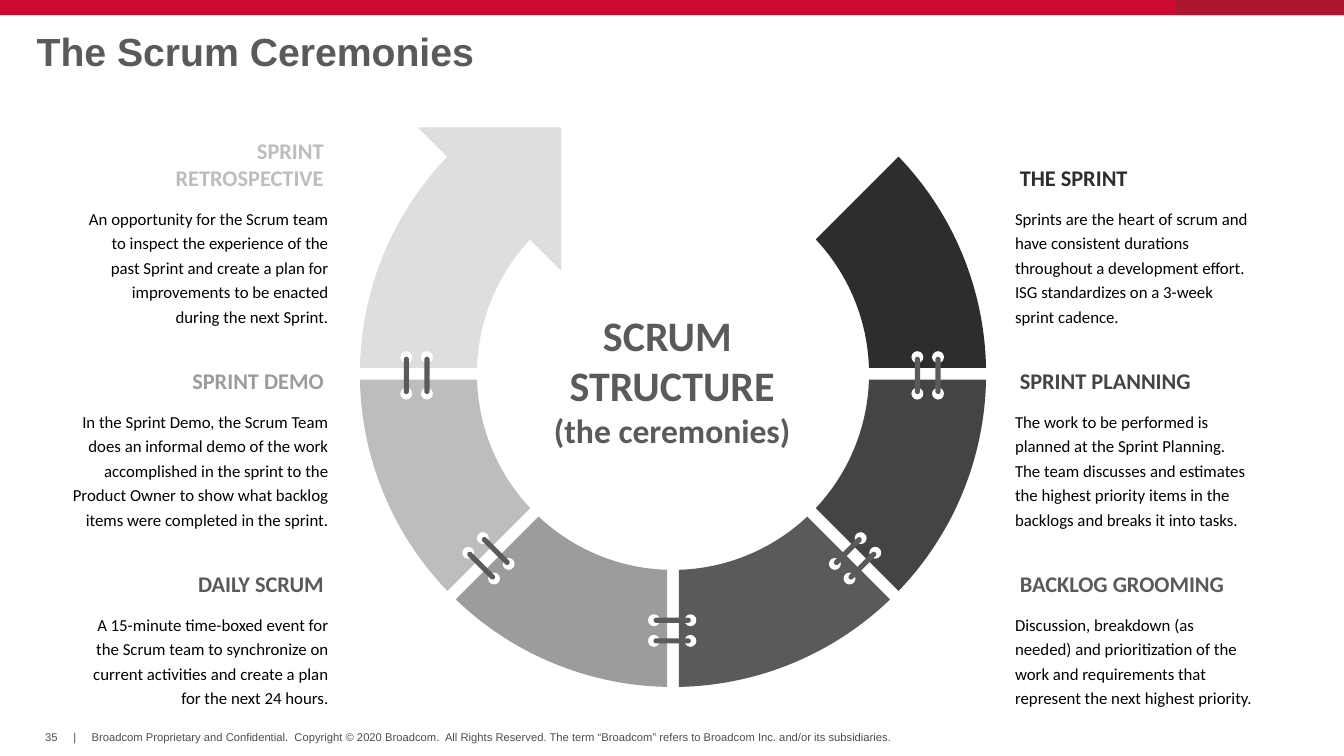
import math

import lxml.etree
import pptx
import pptx.dml.color
import pptx.enum.shapes
import pptx.enum.text
import pptx.oxml.ns
import pptx.util

Cm, Pt = pptx.util.Cm, pptx.util.Pt
SHAPE = pptx.enum.shapes.MSO_SHAPE
ALIGN = pptx.enum.text.PP_ALIGN
ANCHOR = pptx.enum.text.MSO_ANCHOR
qn = pptx.oxml.ns.qn

COLORS = {
    "red": "CC092F", "dark red": "AB162C", "white": "FFFFFF", "black": "000000",
    "footer": "4D4D4F", "ink": "2D2D2D", "charcoal": "444444", "slate": "5A5A5A",
    "gray": "9C9C9C", "silver": "BDBDBD", "mist": "DEDEDE",
}
TITLE = "The Scrum Ceremonies"
CENTER = [("SCRUM  STRUCTURE", 30), ("(the ceremonies)", 24)]
# heading, its colour and width, body width and height, body
RIGHT = [
    ("THE SPRINT", "ink", 3.25, 6.3, 3.33,
     "Sprints are the heart of scrum and have consistent durations throughout a "
     "development effort. ISG standardizes on a 3-week sprint cadence."),
    ("SPRINT PLANNING", "charcoal", 4.88, 6.3, 3.33,
     "The work to be performed is planned at the Sprint Planning. The team discusses and "
     "estimates the highest priority items in the backlogs and breaks it into tasks."),
    ("BACKLOG GROOMING", "slate", 5.74, 6.3, 2.69,
     "Discussion, breakdown (as needed) and prioritization of the work and requirements "
     "that represent the next highest priority."),
]
LEFT = [
    ("SPRINT\nRETROSPECTIVE", "silver", 4.29, 6.3, 3.33,
     "An opportunity for the Scrum team to inspect the experience of the past Sprint and "
     "create a plan for improvements to be enacted during the next Sprint."),
    ("SPRINT DEMO", "gray", 4.27, 6.96, 3.33,
     "In the Sprint Demo, the Scrum Team does an informal demo of the work accomplished in "
     "the sprint to the Product Owner to show what backlog items were completed in the sprint."),
    ("DAILY SCRUM", "slate", 3.73, 6.3, 2.69,
     "A 15-minute time-boxed event for the Scrum team to synchronize on current activities "
     "and create a plan for the next 24 hours."),
]
FOOTER = [  # text, left, width
    ("35", 1.14, 0.36),
    ("|", 1.85, 0.1),
    ("Broadcom Proprietary and Confidential.  Copyright © 2020 Broadcom.  All Rights Reserved. "
     "The term “Broadcom” refers to Broadcom Inc. and/or its subsidiaries.", 2.31, 20.35),
]
SEGMENTS = ["ink", "charcoal", "slate", "gray", "silver", "mist"]  # clockwise
LINKS = [  # angle on the ring, centre
    (0, 23.38, 9.46), (45, 21.55, 14.07), (90, 16.94, 15.89),
    (135, 12.31, 14.07), (180, 10.5, 9.46),
]

CX, CY = 16.96, 9.42
OUTER, INNER, HALF_GAP = 7.89, 4.94, 0.15
START, SWEEP = -45, 45
BAR_SHIFT, DOT_REACH = 0.26, 0.46
RIGHT_EDGE, LEFT_EDGE = 25.45, 8.41
ROW_TOP, ROW_PITCH = 5.07, 5.11


def rgb(name):
    return pptx.dml.color.RGBColor.from_string(COLORS[name])


def paint(shape, color):
    shape.shadow.inherit = False
    shape.fill.solid()
    shape.fill.fore_color.rgb = rgb(color)
    shape.line.fill.background()


def add_shape(s, kind, x, y, w, h, color, rotation=0):
    sp = s.shapes.add_shape(kind, Cm(x), Cm(y), Cm(w), Cm(h))
    sp.rotation = rotation
    paint(sp, color)
    return sp


def set_font(p, size, color, name="Calibri", bold=False):
    p.font.size, p.font.name, p.font.bold = Pt(size), name, bold
    p.font.color.rgb = rgb(color)


def add_text(s, x, y, w, h, text, anchor=ANCHOR.TOP, margins=(0.25, 0.13), wrap=True):
    tf = s.shapes.add_textbox(Cm(x), Cm(y), Cm(w), Cm(h)).text_frame
    tf.word_wrap = wrap
    tf.vertical_anchor = anchor
    tf.margin_left = tf.margin_right = Cm(margins[0])
    tf.margin_top = tf.margin_bottom = Cm(margins[1])
    tf.text = text
    return tf


def arc(radius, first, last):
    """Four Bezier points of an arc that leaves half a parallel gap at both ends."""
    trim = math.asin(HALF_GAP / radius)
    a, b = math.radians(first) + trim, math.radians(last) - trim
    reach = 4 / 3 * math.tan((b - a) / 4)
    polar = [(a, 0), (a, reach), (b, -reach), (b, 0)]
    return [(Cm(CX + radius * (math.cos(t) - k * math.sin(t))),
             Cm(CY + radius * (math.sin(t) + k * math.cos(t)))) for t, k in polar]


def bend(line, points, sp):
    """Turn a straight path step into a curve through the given points."""
    line.tag = qn("a:cubicBezTo")
    line.clear()
    for x, y in points:
        lxml.etree.SubElement(line, qn("a:pt"), x=str(x - sp.left), y=str(y - sp.top))


def add_segment(s, first, color):
    outer = arc(OUTER, first, first + SWEEP)
    inner = arc(INNER, first, first + SWEEP)[::-1]
    builder = s.shapes.build_freeform(*outer[0], scale=1)
    builder.add_line_segments([outer[-1], inner[0], inner[-1]], close=True)
    sp = builder.convert_to_shape()
    paint(sp, color)
    lines = list(sp.element.iter(qn("a:lnTo")))
    bend(lines[0], outer[1:], sp)
    bend(lines[2], inner[1:], sp)


def add_link(s, degrees, cx, cy):
    """Two bars with dots at their ends, across the gap at this angle."""
    dot, length, thick = 0.3, 0.94, 0.13
    cos, sin = math.cos(math.radians(degrees)), math.sin(math.radians(degrees))
    for shift in (-BAR_SHIFT, BAR_SHIFT):
        x, y = cx + shift * cos, cy + shift * sin
        for reach in (-DOT_REACH, DOT_REACH):
            add_shape(s, SHAPE.OVAL, x - reach * sin - dot / 2, y + reach * cos - dot / 2,
                      dot, dot, "white")
        bar = add_shape(s, SHAPE.ROUNDED_RECTANGLE, x - length / 2, y - thick / 2,
                        length, thick, "slate", (degrees + 90) % 180)
        bar.adjustments[0] = 0.5


def add_column(s, entries, edge, align):
    for row, (heading, color, head_width, width, height, body) in enumerate(entries):
        y = ROW_TOP + row * ROW_PITCH
        side = 1 if align == ALIGN.RIGHT else 0
        head_height = 0.94 + 0.68 * heading.count("\n")
        tf = add_text(s, edge - side * head_width, y - 0.12 - head_height, head_width,
                      head_height, heading, ANCHOR.BOTTOM, wrap=False)
        for p in tf.paragraphs:
            p.alignment = align
            set_font(p, 16, color, bold=True)
        tf = add_text(s, edge - side * width, y, width, height, body, margins=(0.13, 0.08))
        p = tf.paragraphs[0]
        p.alignment = align
        p.line_spacing = Pt(17.5)
        set_font(p, 12, "black")


def main():
    prs = pptx.Presentation()
    prs.slide_width, prs.slide_height = Cm(33.87), Cm(19.05)
    s = prs.slides.add_slide(prs.slide_layouts[5])

    add_shape(s, SHAPE.RECTANGLE, 0, 0, 33.87, 0.38, "red")
    add_shape(s, SHAPE.RECTANGLE, 29.62, 0, 4.25, 0.38, "dark red")
    for text, x, width in FOOTER:
        tf = add_text(s, x, 18.42, width, 0.33, text, ANCHOR.MIDDLE, (0, 0), wrap=False)
        set_font(tf.paragraphs[0], 8, "footer", "Arial")

    title = s.shapes.title
    title.left, title.top, title.width, title.height = Cm(0.67), Cm(0.74), Cm(31.57), Cm(1.02)
    tf = title.text_frame
    tf.text = TITLE
    tf.vertical_anchor = ANCHOR.TOP
    tf.auto_size = pptx.enum.text.MSO_AUTO_SIZE.NONE
    p = tf.paragraphs[0]
    p.alignment = ALIGN.LEFT
    p.line_spacing = 0.85
    set_font(p, 28, "slate", "Arial", True)

    add_shape(s, SHAPE.RIGHT_TRIANGLE, 10.53, 3.21, 3.61, 3.61, "mist", 180)
    for i, color in enumerate(SEGMENTS):
        add_segment(s, START + i * SWEEP, color)
    for link in LINKS:
        add_link(s, *link)

    tf = add_text(s, 13.51, 7.65, 6.86, 3.84, "\n".join(t for t, _ in CENTER), ANCHOR.MIDDLE)
    for p, (_, size) in zip(tf.paragraphs, CENTER):
        p.alignment = ALIGN.CENTER
        set_font(p, size, "slate", bold=True)

    add_column(s, RIGHT, RIGHT_EDGE, ALIGN.LEFT)
    add_column(s, LEFT, LEFT_EDGE, ALIGN.RIGHT)
    prs.save("out.pptx")


if __name__ == "__main__":
    main()
